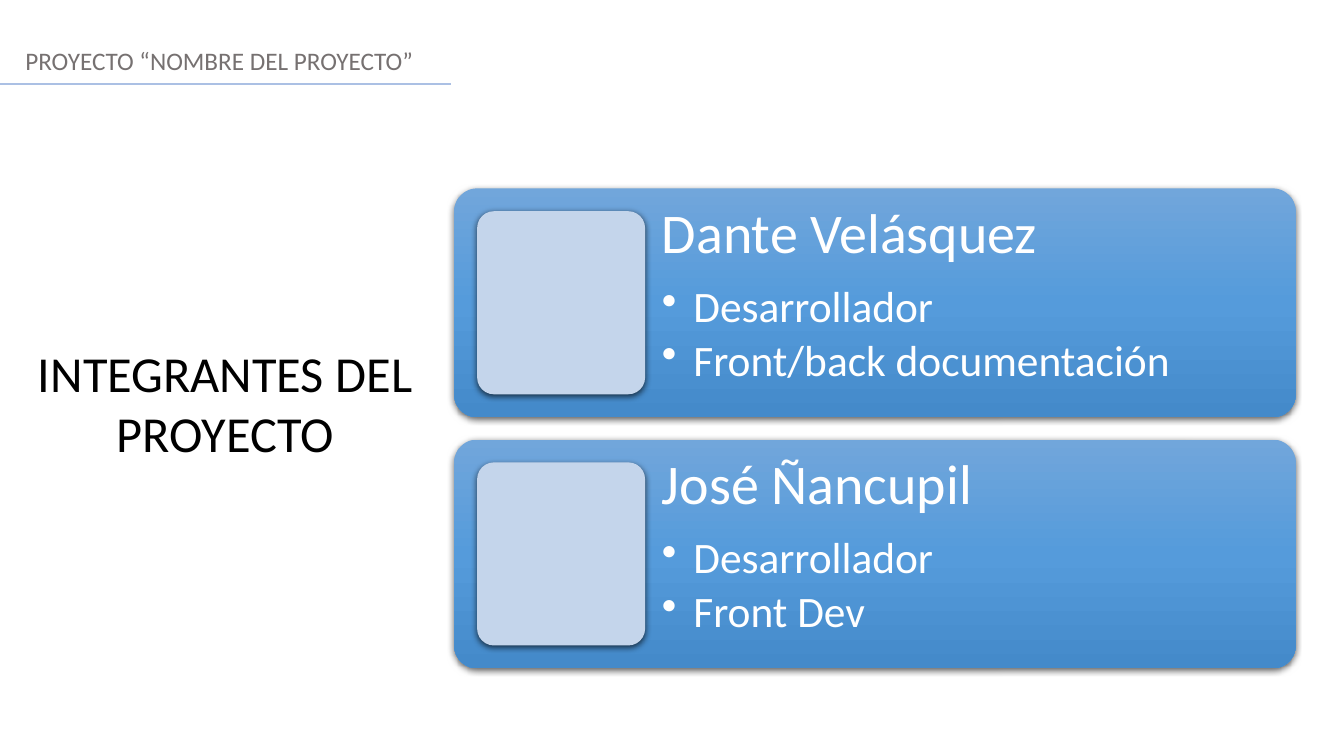
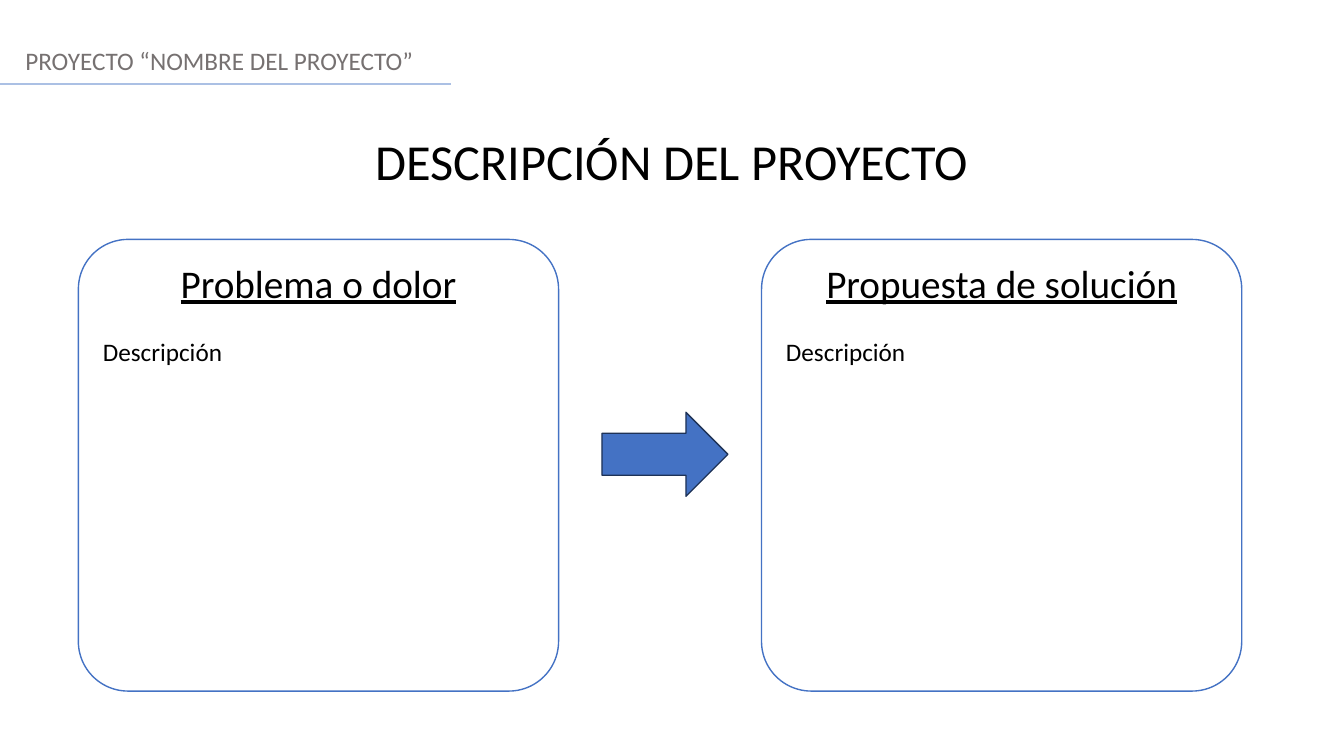
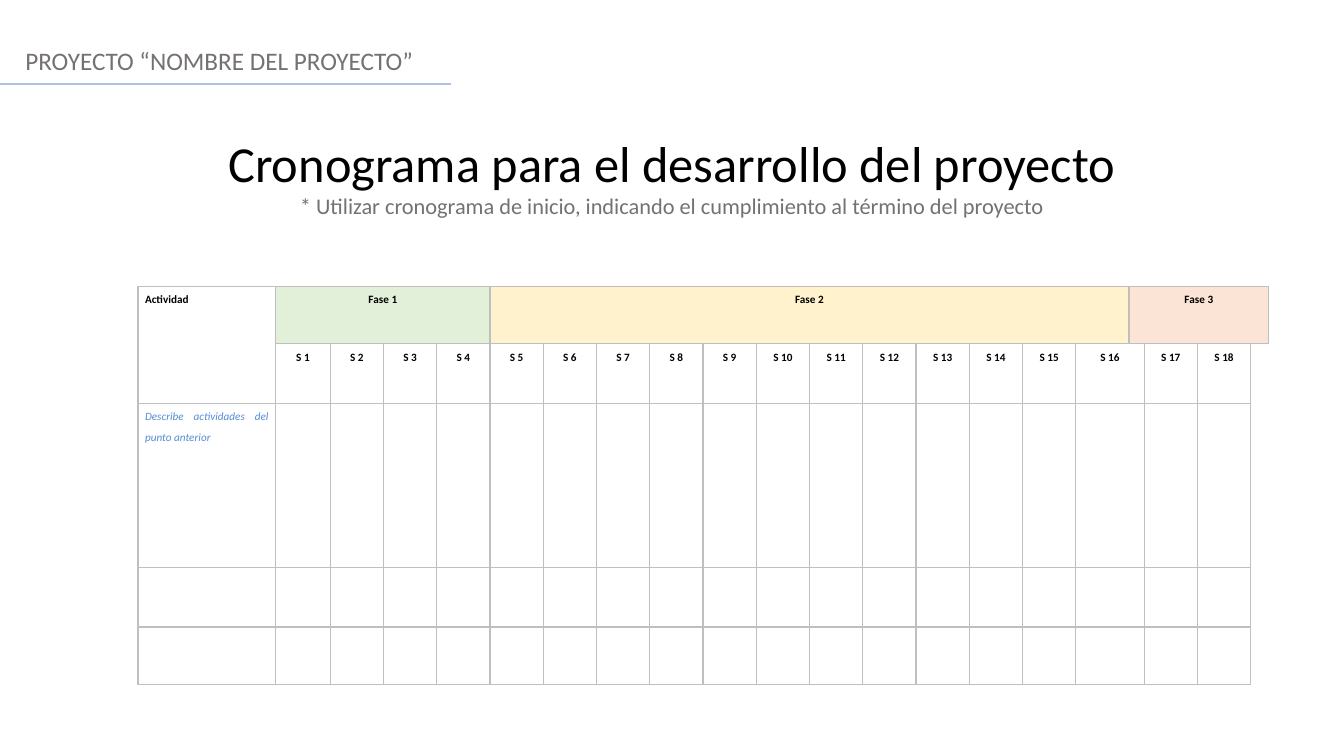
"""Build a three-slide project template: team, description and schedule."""
from copy import deepcopy
from dataclasses import dataclass

from pptx import Presentation
from pptx.dml.color import RGBColor
from pptx.enum import shapes, text
from pptx.oxml import ns
from pptx.util import Pt
from lxml import etree


@dataclass(frozen=True)
class Theme:
    """Colours, type sizes and font shared by the slides."""
    font: str = "Calibri"
    ink: str = "000000"
    muted: str = "767171"
    white: str = "FFFFFF"
    accent: str = "4472C4"
    arrow_edge: str = "1E3256"
    rule: str = "ABC0E4"
    portrait: str = "C4D5EB"
    grid: str = "BFBFBF"
    hint: str = "548DD4"
    card_stops: tuple = ((0, "71A6DB"), (0.5, "559BDB"), (1, "448ACA"))
    name_size: float = 40
    title_size: float = 36
    role_size: float = 31
    heading_size: float = 28
    body_size: float = 18
    subtitle_size: float = 16
    table_size: float = 8


THEME = Theme()
ALIGN = text.PP_ALIGN
SHAPE = shapes.MSO_SHAPE
SLIDE_WIDTH, SLIDE_HEIGHT = 960, 540

MEMBERS = [
    ("Dante Velásquez", ["Desarrollador", "Front/back documentación"]),
    ("José Ñancupil", ["Desarrollador", "Front Dev"]),
]
PHASES = [("Fase 1", 1, 4, "E2EFD9"), ("Fase 2", 5, 16, "FFF2CC"), ("Fase 3", 17, 20, "FBE4D5")]
SPLIT_WEEK, LAST_COLUMN = 16, 20
ROW_HEIGHTS = [41.1, 42.5, 117.2, 42.6, 41]


def rgb(value):
    """Turn a hex string into a colour."""
    return RGBColor.from_string(value)


def box(left, top, width, height):
    """Convert a frame in points to lengths."""
    return Pt(left), Pt(top), Pt(width), Pt(height)


def sub(parent, tag, **attributes):
    """Append a drawing element with the given attributes."""
    return etree.SubElement(parent, ns.qn(tag), {key: str(value) for key, value in attributes.items()})


def write(paragraph, words, size, color=THEME.ink, align=ALIGN.LEFT, bold=False, italic=False, underline=False):
    """Set the words of a paragraph and format them."""
    paragraph.text = words
    paragraph.alignment = align
    for run in paragraph.runs:
        font = run.font
        font.name, font.size, font.color.rgb = THEME.font, Pt(size), rgb(color)
        font.bold, font.italic, font.underline = bold, italic, underline
    return paragraph


def add_text_box(slide, frame):
    """Add a wrapping text box and return its text frame."""
    text_frame = slide.shapes.add_textbox(*box(*frame)).text_frame
    text_frame.word_wrap = True
    return text_frame


def add_preset(slide, preset, frame, fill=None, edge=None, corner=None):
    """Add a flat preset shape."""
    shape = slide.shapes.add_shape(preset, *box(*frame))
    shape.shadow.inherit = False
    if corner is not None:
        shape.adjustments[0] = corner
    if fill:
        shape.fill.solid()
        shape.fill.fore_color.rgb = rgb(fill)
    if edge:
        shape.line.color.rgb = rgb(edge)
        shape.line.width = Pt(1)
    else:
        shape.line.fill.background()
    return shape


def add_soft_shadow(shape):
    """Give a shape a soft shadow below it."""
    effects = shape._element.spPr.find(ns.qn("a:effectLst"))
    shadow = sub(effects, "a:outerShdw", blurRad=Pt(4.5), dist=Pt(1.5), dir=5400000, algn="ctr", rotWithShape=0)
    sub(sub(shadow, "a:srgbClr", val="000000"), "a:alpha", val=63000)


def fill_gradient(shape, stops):
    """Fill a shape from top to bottom through three colours."""
    shape.fill.gradient()
    shape.fill.gradient_angle = 270
    stop_list = next(shape._element.spPr.iter(ns.qn("a:gsLst")))
    stop_list.append(deepcopy(stop_list[0]))
    for stop, (position, color) in zip(shape.fill.gradient_stops, stops):
        stop.position = position
        stop.color.rgb = rgb(color)


def add_bullet(paragraph, indent):
    """Give a paragraph a hanging bullet."""
    properties = paragraph._p.get_or_add_pPr()
    properties.set("marL", str(Pt(indent)))
    properties.set("indent", str(-Pt(indent)))
    sub(properties, "a:buChar", char="•")


def add_project_slide(deck, title, frame):
    """Add a slide with its title and the project header."""
    slide = deck.slides.add_slide(deck.slide_layouts[5])
    heading = slide.shapes.title
    heading.left, heading.top, heading.width, heading.height = box(*frame)
    heading.text_frame.auto_size = text.MSO_AUTO_SIZE.NONE
    heading.text_frame.vertical_anchor = text.MSO_ANCHOR.TOP
    write(heading.text_frame.paragraphs[0], title, THEME.title_size, align=ALIGN.CENTER)

    header = add_text_box(slide, (11, 29, SLIDE_WIDTH - 11, 29))
    write(header.paragraphs[0], "PROYECTO “NOMBRE DEL PROYECTO”", THEME.body_size, THEME.muted)
    rule = slide.shapes.add_connector(shapes.MSO_CONNECTOR.STRAIGHT, Pt(0), Pt(59.8), Pt(322), Pt(59.8))
    rule.line.color.rgb = rgb(THEME.rule)
    rule.line.width = Pt(1.25)
    sub(rule._element.spPr, "a:effectLst")
    return slide


def add_member(slide, top, name, roles):
    """Add one team member's card."""
    left, width, height, pad = 324.5, 601, 163.4, 16.3
    portrait_width = 120
    card = add_preset(slide, SHAPE.ROUNDED_RECTANGLE, (left, top, width, height), corner=0.1)
    fill_gradient(card, THEME.card_stops)
    portrait = add_preset(slide, SHAPE.ROUNDED_RECTANGLE,
                          (left + pad, top + pad, portrait_width, height - 2 * pad), THEME.portrait, corner=0.1)
    for shape in (card, portrait):
        add_soft_shadow(shape)

    text_left = pad + portrait_width
    profile = add_text_box(slide, (left + text_left, top, width - text_left, height))
    profile.margin_left = profile.margin_right = profile.margin_top = profile.margin_bottom = Pt(12)
    lines = [(name, THEME.name_size, 14)] + [(role, THEME.role_size, 4.65) for role in roles]
    for index, (words, size, gap) in enumerate(lines):
        paragraph = profile.add_paragraph() if index else profile.paragraphs[0]
        write(paragraph, words, size, THEME.white)
        paragraph.line_spacing = 0.9
        paragraph.space_after = Pt(gap)
        if index:
            paragraph.level = 1
            add_bullet(paragraph, 22.5)


def add_topic(slide, left, heading):
    """Add an outlined card with a heading and a description."""
    card = add_preset(slide, SHAPE.ROUNDED_RECTANGLE, (left, 171, 343, 322.6), THEME.white, THEME.accent, 0.11)
    content = card.text_frame
    content.word_wrap = True
    content.vertical_anchor = text.MSO_ANCHOR.TOP
    write(content.paragraphs[0], heading, THEME.heading_size, align=ALIGN.CENTER, underline=True)
    description = write(content.add_paragraph(), "Descripción", THEME.body_size, align=ALIGN.JUSTIFY)
    description.space_before = Pt(22)


def style_cell(cell, edges):
    """Clear a cell and draw the given edges."""
    properties = cell._tc.get_or_add_tcPr()
    for edge in "LRTB":
        line = sub(properties, f"a:ln{edge}", w=Pt(1))
        if edge in edges:
            sub(sub(line, "a:solidFill"), "a:srgbClr", val=THEME.grid)
        else:
            sub(line, "a:noFill")
    cell.fill.background()
    cell.margin_left = cell.margin_right = Pt(5)
    cell.margin_top = cell.margin_bottom = Pt(0)


def write_cell(cell, words, align=ALIGN.CENTER, fill=None, **style):
    """Write a cell's text and set its fill."""
    paragraph = write(cell.text_frame.paragraphs[0], words, THEME.table_size, align=align, **style)
    paragraph.line_spacing = 1.5
    paragraph.space_after = Pt(8)
    if fill:
        cell.fill.solid()
        cell.fill.fore_color.rgb = rgb(fill)


def add_schedule(slide):
    """Add the table of phases, weeks and activities."""
    widths = [98.4, 38.9] + [38.06] * 15 + [10.8] + [38.06] * 2 + [10.8]
    frame = (98.6, 204.5, sum(widths), sum(ROW_HEIGHTS))
    schedule = slide.shapes.add_table(len(ROW_HEIGHTS), len(widths), *box(*frame)).table
    schedule.first_row = schedule.horz_banding = False
    for column, width in zip(schedule.columns, widths):
        column.width = Pt(width)
    for row, height in zip(schedule.rows, ROW_HEIGHTS):
        row.height = Pt(height)

    for row in range(len(ROW_HEIGHTS)):
        for column in range(len(widths)):
            edges = "LRTB"
            if row and column == LAST_COLUMN:
                edges = "LT" if row == 1 else "L"
            style_cell(schedule.cell(row, column), edges)
        if row:
            schedule.cell(row, SPLIT_WEEK).merge(schedule.cell(row, SPLIT_WEEK + 1))

    schedule.cell(0, 0).merge(schedule.cell(1, 0))
    write_cell(schedule.cell(0, 0), "Actividad", ALIGN.JUSTIFY, bold=True)
    for phase, first, last, fill in PHASES:
        schedule.cell(0, first).merge(schedule.cell(0, last))
        write_cell(schedule.cell(0, first), phase, fill=fill, bold=True)
    for week in range(1, 19):
        column = week if week <= SPLIT_WEEK else week + 1
        write_cell(schedule.cell(1, column), f"S {week}", bold=True)
    write_cell(schedule.cell(2, 0), "Describe actividades del punto anterior", ALIGN.JUSTIFY,
               color=THEME.hint, italic=True)


def build_team(deck):
    """Build the slide of team members."""
    slide = add_project_slide(deck, "INTEGRANTES DEL PROYECTO", (18.7, 240.5, 284.4, 94.3))
    for index, (name, roles) in enumerate(MEMBERS):
        add_member(slide, 134.6 + index * 179.4, name, roles)


def build_description(deck):
    """Build the slide of problem and solution."""
    slide = add_project_slide(deck, "DESCRIPCIÓN DEL PROYECTO", (0, 89.3, SLIDE_WIDTH, 51))
    add_topic(slide, 56, "Problema o dolor")
    add_topic(slide, 544, "Propuesta de solución")
    add_preset(slide, SHAPE.RIGHT_ARROW, (430, 294.5, 90, 60), THEME.accent, THEME.arrow_edge)


def build_schedule(deck):
    """Build the slide of the project schedule."""
    slide = add_project_slide(deck, "Cronograma para el desarrollo del proyecto", (0, 90.7, SLIDE_WIDTH, 70.6))
    write(slide.shapes.title.text_frame.add_paragraph(),
          "* Utilizar cronograma de inicio, indicando el cumplimiento al término del proyecto",
          THEME.subtitle_size, THEME.muted, ALIGN.CENTER)
    add_schedule(slide)


def main():
    """Build and save the presentation."""
    deck = Presentation()
    deck.slide_width, deck.slide_height = Pt(SLIDE_WIDTH), Pt(SLIDE_HEIGHT)
    build_team(deck)
    build_description(deck)
    build_schedule(deck)
    deck.save("out.pptx")


if __name__ == "__main__":
    main()
